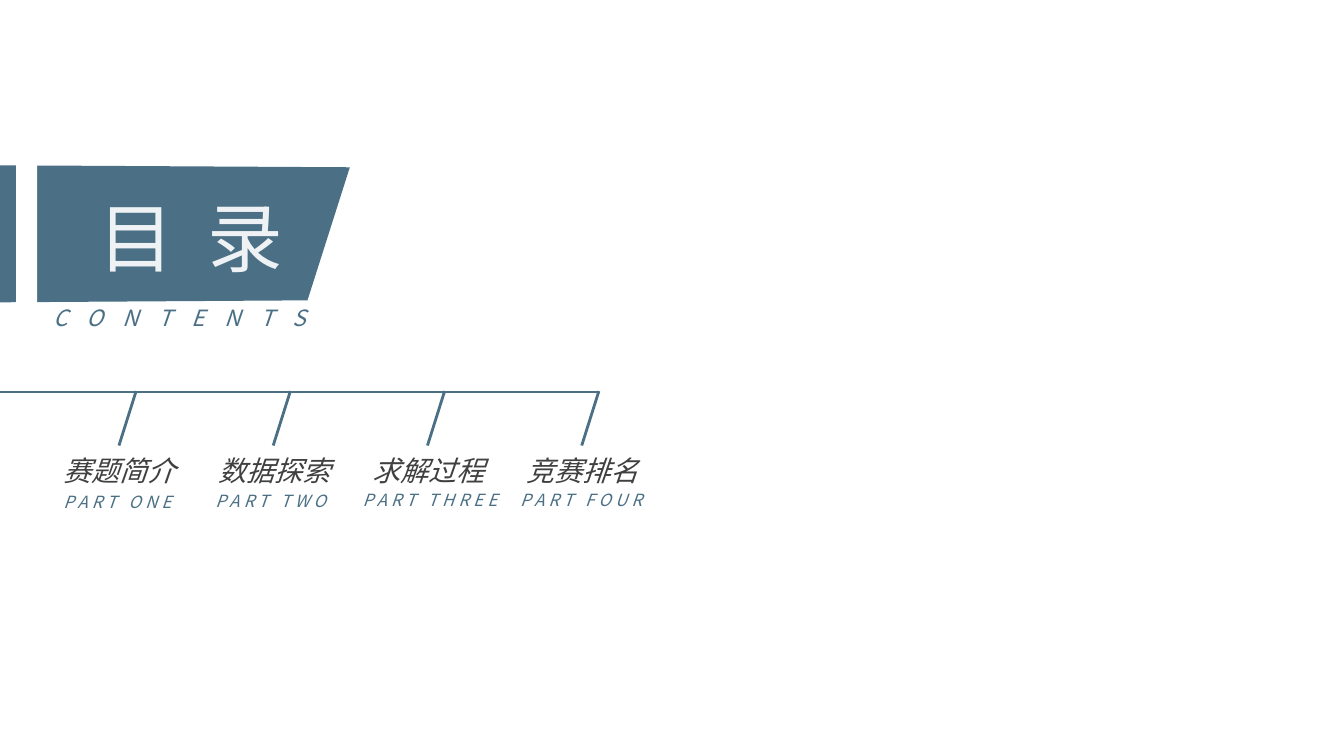
from pptx import Presentation
from pptx.dml.color import RGBColor
from pptx.enum.shapes import MSO_CONNECTOR as Connector, MSO_SHAPE as Shape
from pptx.enum.text import MSO_AUTO_SIZE as AutoSize, PP_ALIGN as Align
from pptx.oxml.ns import qn
from pptx.util import Inches, Pt
from lxml.etree import SubElement

FONT = "Noto Sans CJK SC"
BLUE, WHITE, PALE, GREY = "4B7085", "FFFFFF", "EEF2F4", "404040"
FIRST_TICK, FIRST_LABEL, PITCH = 1.35, 0.42, 1.53

# Chapter title, caption, then caption left, top, width and height
CHAPTERS = [
    ("赛题简介", "PART ONE", (0.41, 4.83, 1.51, 0.3)),
    ("数据探索", "PART TWO", (1.93, 4.82, 1.51, 0.3)),
    ("求解过程", "PART THREE", (3.42, 4.81, 1.69, 0.3)),
    ("竞赛排名", "PART FOUR", (5.01, 4.81, 1.51, 0.5)),
]


def color(hex_value):
    return RGBColor.from_string(hex_value)


def paint(shape, fill):
    shape.shadow.inherit = False
    shape.fill.solid()
    shape.fill.fore_color.rgb = color(fill)
    shape.line.fill.background()


def add_text(slide, box, text, size, text_color, align, spacing=0, italic=True):
    shape = slide.shapes.add_textbox(*map(Inches, box))
    frame = shape.text_frame
    frame.word_wrap = True
    frame.auto_size = AutoSize.SHAPE_TO_FIT_TEXT
    paragraph = frame.paragraphs[0]
    paragraph.alignment = align
    run = paragraph.add_run()
    run.text = text
    font_format = {"name": FONT, "size": Pt(size), "italic": italic}
    for name, value in font_format.items():
        setattr(run.font, name, value)
    run.font.color.rgb = color(text_color)
    # Letter spacing and East Asian typeface
    properties = run.font._element
    if spacing:
        properties.set("spc", str(spacing * 100))
    SubElement(properties, qn("a:ea")).set("typeface", FONT)


def add_line(slide, start, end):
    line = slide.shapes.add_connector(
        Connector.STRAIGHT, *map(Inches, (*start, *end)))
    line.line.color.rgb = color(BLUE)
    line.line.width = Pt(2)
    SubElement(line._element.spPr, qn("a:effectLst"))


def add_banner(slide):
    corners = [(Inches(x), Inches(y)) for x, y in
               [(3.05, 2.98), (0, 3), (0, 1.64), (3.47, 1.66)]]
    builder = slide.shapes.build_freeform(*corners[0])
    builder.add_line_segments(corners[1:], close=True)
    paint(builder.convert_to_shape(), BLUE)
    add_text(slide, (0.28, 1.84, 2.63, 1.01), "目 录", 54, PALE,
             Align.RIGHT, spacing=6, italic=False)
    add_text(slide, (-0.38, 2.97, 3.51, 0.37), "CONTENTS", 16, BLUE,
             Align.RIGHT, spacing=14)
    # White gap that splits the banner
    gap = slide.shapes.add_shape(
        Shape.RECTANGLE, *map(Inches, (0.16, 0.85, 0.21, 4.23)))
    paint(gap, WHITE)


def add_chapter(slide, index, title, caption, caption_box):
    tick = FIRST_TICK + index * PITCH
    add_line(slide, (tick, 3.88), (tick - 0.17, 4.42))
    title_box = (FIRST_LABEL + index * PITCH, 4.45, 1.54, 0.44)
    add_text(slide, title_box, title, 20, GREY, Align.CENTER)
    add_text(slide, caption_box, caption, 12, BLUE, Align.CENTER, spacing=3)


def main():
    presentation = Presentation()
    presentation.slide_width = Inches(13.33)
    presentation.slide_height = Inches(7.5)
    slide = presentation.slides.add_slide(presentation.slide_layouts[6])

    # Heading
    add_banner(slide)

    # Timeline with its chapters
    add_line(slide, (0, 3.89), (5.94, 3.89))
    for index, chapter in enumerate(CHAPTERS):
        add_chapter(slide, index, *chapter)

    presentation.save("out.pptx")


if __name__ == "__main__":
    main()
